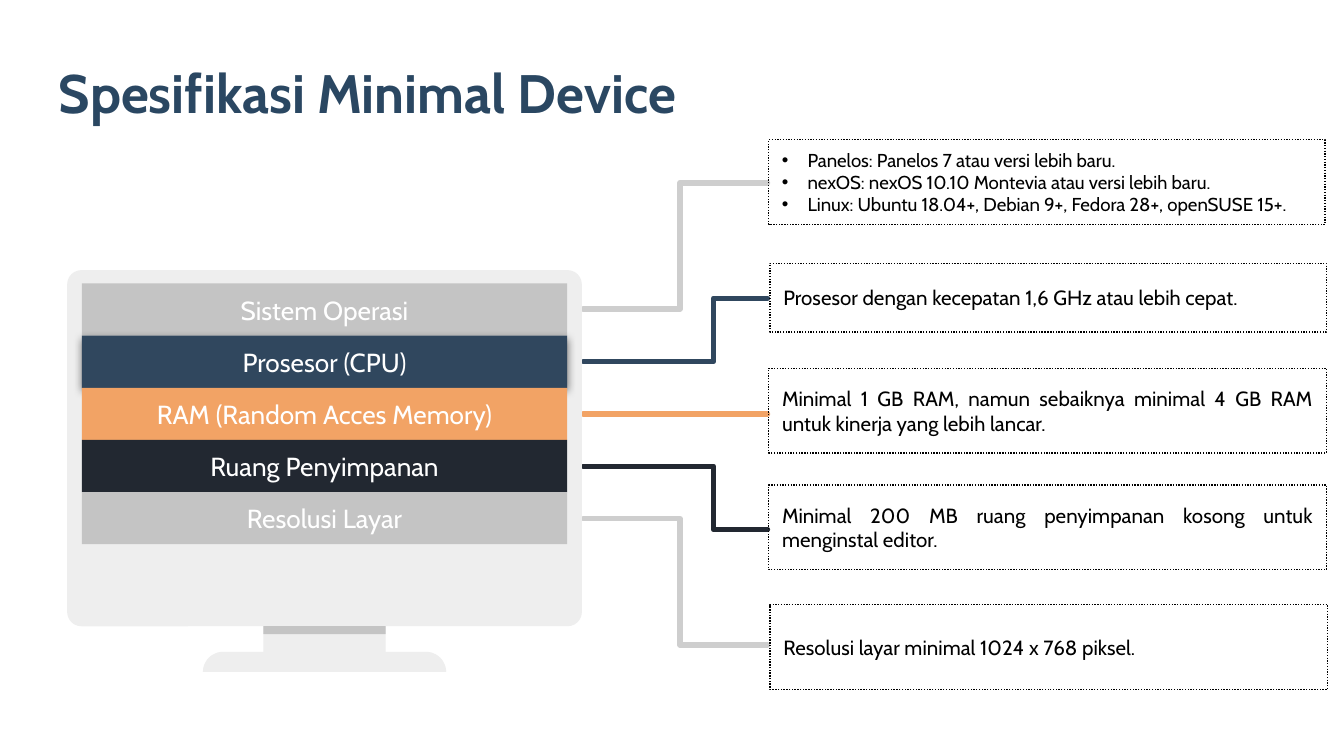
import math
from dataclasses import dataclass

import lxml.etree
import pptx
import pptx.dml.color
import pptx.enum.dml
import pptx.enum.shapes
import pptx.enum.text
import pptx.oxml.ns
import pptx.util

Inches = pptx.util.Inches
Kind = pptx.enum.shapes.MSO_SHAPE
Align = pptx.enum.text.PP_ALIGN


@dataclass(frozen=True)
class Theme:
    """Colours, font and type sizes of the slide."""
    font: str = "Cabin"
    title: str = "2A4762"
    ink: str = "000000"
    white: str = "FFFFFF"
    shell: str = "EEEEEE"
    gray: str = "C4C4C4"
    wire: str = "CECECE"
    navy: str = "30475E"
    orange: str = "F2A365"
    dark: str = "222831"
    head: float = 29
    label: float = 14
    body: float = 11
    small: float = 10


THEME = Theme()

ROWS = [
    ("Sistem Operasi", THEME.gray, THEME.wire, 5.06, (5.72, 1.04, 4.14, 0.63),
     ["Panelos: Panelos 7 atau versi lebih baru.",
      "nexOS: nexOS 10.10 Montevia atau versi lebih baru.",
      "Linux: Ubuntu 18.04+, Debian 9+, Fedora 28+, openSUSE 15+."]),
    ("Prosesor (CPU)", THEME.navy, THEME.navy, 5.31, (5.73, 1.96, 4.14, 0.51),
     ["Prosesor dengan kecepatan 1,6 GHz atau lebih cepat."]),
    ("RAM (Random Acces Memory)", THEME.orange, THEME.orange, None, (5.72, 2.74, 4.15, 0.63),
     ["Minimal 1 GB RAM, namun sebaiknya minimal 4 GB RAM untuk kinerja yang lebih lancar."]),
    ("Ruang Penyimpanan", THEME.dark, THEME.dark, 5.31, (5.72, 3.61, 4.15, 0.63),
     ["Minimal 200 MB ruang penyimpanan kosong untuk menginstal editor."]),
    ("Resolusi Layar", THEME.gray, THEME.wire, 5.06, (5.73, 4.5, 4.15, 0.63),
     ["Resolusi layar minimal 1024 x 768 piksel."]),
]


def rgb(code):
    """Turn a hex code into a colour."""
    return pptx.dml.color.RGBColor.from_string(code)


def add(parent, tag, **attrs):
    """Append a drawing element with the given attributes."""
    node = lxml.etree.SubElement(parent, pptx.oxml.ns.qn(tag))
    for name, value in attrs.items():
        node.set(name, str(value))
    return node


def write(shape, lines, size, color, align=Align.LEFT, bold=False, bullet=False):
    """Fill a shape with formatted paragraphs."""
    frame = shape.text_frame
    frame.word_wrap = True
    frame.vertical_anchor = pptx.enum.text.MSO_ANCHOR.MIDDLE
    frame.margin_left = frame.margin_right = Inches(0.1)
    frame.margin_top = frame.margin_bottom = Inches(0.1)
    for i, line in enumerate(lines):
        para = frame.add_paragraph() if i else frame.paragraphs[0]
        para.alignment = align
        if bullet:
            props = para._p.get_or_add_pPr()
            props.set("marL", str(Inches(0.19)))
            props.set("indent", str(-Inches(0.19)))
            add(add(props, "a:buClr"), "a:srgbClr", val=color)
            add(props, "a:buFont", typeface="Arial")
            add(props, "a:buChar", char="•")
        run = para.add_run()
        run.text = line
        run.font.name = THEME.font
        run.font.size = pptx.util.Pt(size)
        run.font.bold = bold
        run.font.color.rgb = rgb(color)


def paint(shape, color):
    """Give a shape a flat fill without line or shadow."""
    shape.shadow.inherit = False
    shape.fill.solid()
    shape.fill.fore_color.rgb = rgb(color)
    shape.line.fill.background()
    return shape


def block(slide, box, color, kind=Kind.RECTANGLE):
    """Draw a flat preset shape in a box."""
    return paint(slide.shapes.add_shape(kind, *map(Inches, box)), color)


def trace(slide, points, close):
    """Build an outline through points in inches."""
    spots = [(Inches(x), Inches(y)) for x, y in points]
    pen = slide.shapes.build_freeform(*spots[0])
    pen.add_line_segments(spots[1:], close=close)
    return pen.convert_to_shape()


def wire(slide, start, end, bend, color):
    """Join a bar to its note, turning at the bend if there is one."""
    if bend is None:
        line = slide.shapes.add_connector(
            pptx.enum.shapes.MSO_CONNECTOR.STRAIGHT, *map(Inches, start + end))
        add(line._element.spPr, "a:effectLst")
    else:
        line = trace(slide, [start, (bend, start[1]), (bend, end[1]), end], False)
        line.fill.background()
        line.shadow.inherit = False
    line.line.width = pptx.util.Pt(3)
    line.line.color.rgb = rgb(color)
    stroke = line.line._get_or_add_ln()
    stroke.set("cap", "rnd")
    add(stroke, "a:round")


def title(slide, box):
    """Place the slide title."""
    area = slide.shapes.add_textbox(*map(Inches, box))
    write(area, ["Spesifikasi Minimal Device"], THEME.head, THEME.title, bold=True)


def foot(slide, box):
    """Draw the stand foot with quarter-round top corners."""
    x, y, w, h = box
    turns = [math.pi / 2 * i / 12 for i in range(13)]
    left = [(x + h * (1 - math.cos(t)), y + h * (1 - math.sin(t))) for t in turns]
    right = [(2 * x + w - px, py) for px, py in reversed(left)]
    paint(trace(slide, left + right, True), THEME.shell)


def screen(slide, box):
    """Draw the monitor and its stand."""
    x, y, w, h = box
    body = block(slide, box, THEME.shell, Kind.ROUNDED_RECTANGLE)
    body.adjustments[0] = 0.04
    block(slide, (x + 1.46, y + h, 0.91, 0.19), THEME.shell)
    foot(slide, (x + 1.01, y + h + 0.19, 1.81, 0.15))
    block(slide, (x + 1.46, y + h, 0.91, 0.06), THEME.gray)


def bars(slide, box):
    """Stack the labelled bars on the screen."""
    x, y, w, h = box
    step = h / len(ROWS)
    for i, (label, color, *rest) in enumerate(ROWS):
        bar = block(slide, (x, y + i * step, w, step), color)
        write(bar, [label], THEME.label, THEME.white, align=Align.CENTER)
        if i == 1:
            glow = add(bar._element.spPr.find(pptx.oxml.ns.qn("a:effectLst")),
                       "a:outerShdw", blurRad=57150, dist=19050, dir=5400000,
                       algn="bl", rotWithShape=0)
            add(add(glow, "a:srgbClr", val=THEME.ink), "a:alpha", val=50000)


def wires(slide, box):
    """Run one wire from each bar to its note."""
    x, y, w, h = box
    for i, (_, _, color, bend, *rest) in enumerate(ROWS):
        start = (x, 2.3 + 0.39 * i)
        end = (x + w, y + h * i / (len(ROWS) - 1))
        if bend is None:
            start = (x, end[1])
        wire(slide, start, end, bend, color)


def note(slide, box, lines):
    """Place a dotted box with the details of one bar."""
    card = slide.shapes.add_shape(Kind.RECTANGLE, *map(Inches, box))
    card.shadow.inherit = False
    card.fill.background()
    card.line.color.rgb = rgb(THEME.ink)
    card.line.width = pptx.util.Pt(0.75)
    card.line.dash_style = pptx.enum.dml.MSO_LINE.ROUND_DOT
    many = len(lines) > 1
    write(card, lines, THEME.small if many else THEME.body, THEME.ink,
          align=Align.JUSTIFY, bullet=many)


def main():
    """Build and save the slide."""
    deck = pptx.Presentation()
    deck.slide_width = Inches(10)
    deck.slide_height = deck.slide_width * 9 // 16
    slide = deck.slides.add_slide(deck.slide_layouts[6])
    wires(slide, (4.34, 1.36, 1.37, 3.44))
    screen(slide, (0.5, 2.01, 3.83, 2.65))
    bars(slide, (0.61, 2.11, 3.61, 1.94))
    title(slide, (0.34, 0.47, 5.32, 0.42))
    for *rest, box, lines in ROWS:
        note(slide, box, lines)
    deck.save("out.pptx")


if __name__ == "__main__":
    main()
